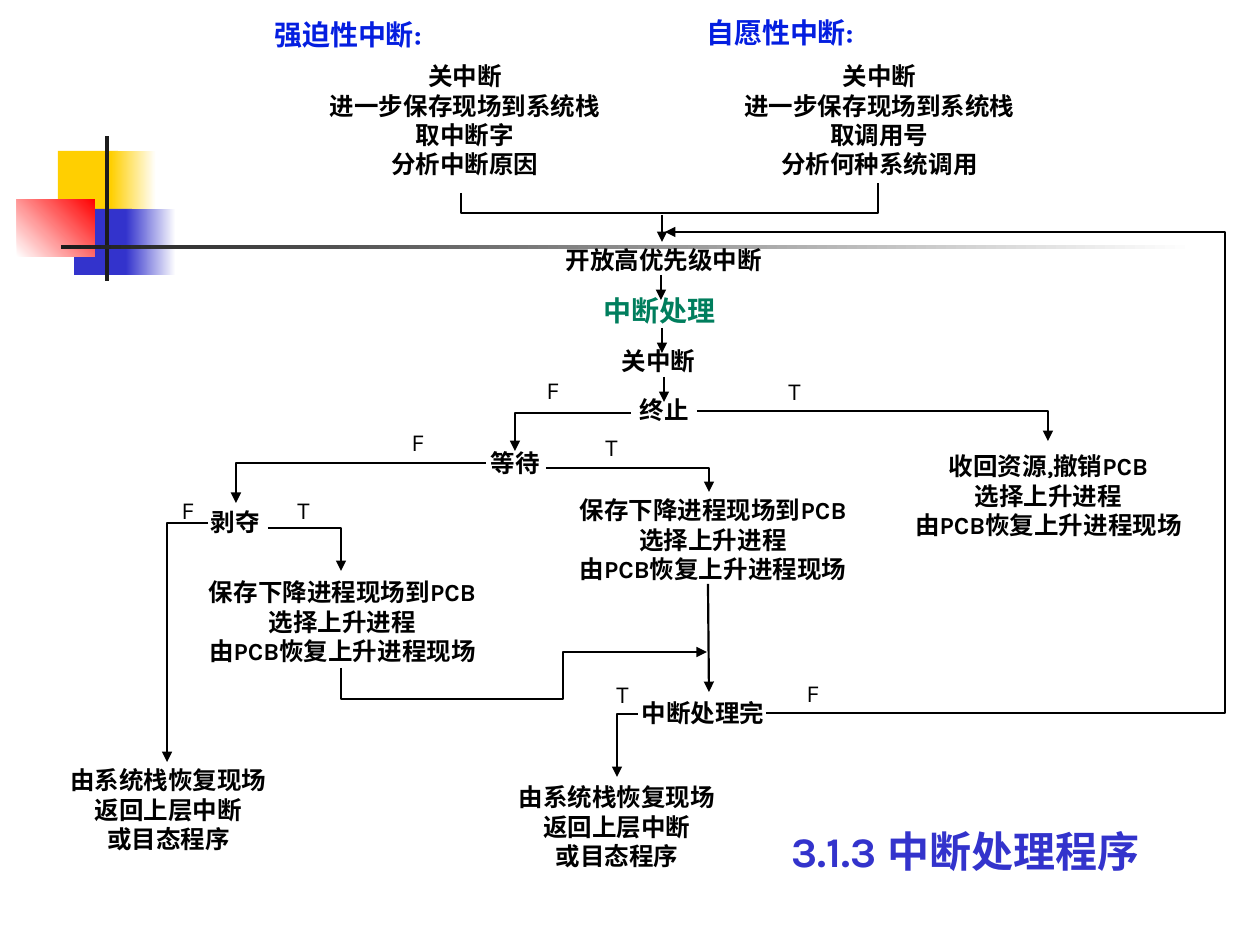
from lxml import etree
from pptx import Presentation
from pptx.dml.color import RGBColor
from pptx.enum.shapes import MSO_CONNECTOR, MSO_SHAPE
from pptx.enum.text import MSO_AUTO_SIZE, PP_ALIGN
from pptx.oxml.ns import qn
from pptx.util import Emu, Pt

PX = 914400 / 126
RECT, STRAIGHT = MSO_SHAPE.RECTANGLE, MSO_CONNECTOR.STRAIGHT
LEFT, CENTER = PP_ALIGN.LEFT, PP_ALIGN.CENTER
GROW = MSO_AUTO_SIZE.SHAPE_TO_FIT_TEXT
FONT = "Karla"

BLACK = RGBColor(0, 0, 0)
WHITE = RGBColor(0xFF, 0xFF, 0xFF)
YELLOW = RGBColor(0xFF, 0xCF, 0x01)
INDIGO = RGBColor(0x33, 0x33, 0xCC)
RED = RGBColor(0xFF, 0, 0)
CHARCOAL = RGBColor(0x1C, 0x1C, 0x1C)
BLUE = RGBColor(0x04, 0x1E, 0xE0)
GREEN = RGBColor(0, 0x7E, 0x5D)

ORNAMENTS = [
    ((58, 151, 60, 66), [YELLOW], 0),
    ((111, 151, 45, 66), [YELLOW, WHITE], 0),
    ((74, 209, 58, 66), [INDIGO], 0),
    ((126, 209, 50, 66), [INDIGO, WHITE], 0),
    ((17, 199, 78, 58), [WHITE, RED], 45),
    ((105, 136, 4, 145), [CHARCOAL], 0),
    ((61, 245, 1134, 4), [CHARCOAL, WHITE], 0),
]

SWITCH = ["保存下降进程现场到PCB", "选择上升进程", "由PCB恢复上升进程现场"]
RETURN = ["由系统栈恢复现场", "返回上层中断", "或目态程序"]
STEPS = [
    (291, 55, 348, ["关中断", "进一步保存现场到系统栈", "取中断字", "分析中断原因"]),
    (722, 55, 315, ["关中断", "进一步保存现场到系统栈", "取调用号", "分析何种系统调用"]),
    (505, 239, 318, ["开放高优先级中断"]),
    (593, 340, 131, ["关中断"]),
    (620, 389, 89, ["终止"]),
    (471, 442, 89, ["等待"]),
    (191, 501, 89, ["剥夺"]),
    (626, 692, 154, ["中断处理完"]),
    (878, 445, 341, ["收回资源,撤销PCB"] + SWITCH[1:]),
    (533, 489, 360, SWITCH),
    (178, 571, 329, SWITCH),
    (48, 759, 241, RETURN),
    (479, 776, 276, RETURN),
]
HEADINGS = [
    (262, 11, 238, "强迫性中断:", 16, BLUE, LEFT),
    (694, 9, 238, "自愿性中断:", 16, BLUE, LEFT),
    (591, 287, 140, "中断处理", 16, GREEN, LEFT),
    (716, 819, 499, "3.1.3 中断处理程序", 24, INDIGO, CENTER),
]
BRANCHES = [
    ("F", 534, 369), ("T", 776, 370),
    ("F", 399, 421), ("T", 593, 426),
    ("F", 169, 489), ("T", 285, 489),
    ("T", 604, 673), ("F", 794, 672),
]

JOIN = [(461, 193), (461, 213), (878, 213), (878, 183)]
ARROWS = [
    ([(662, 215), (662, 242)], 1.25),
    ([(661, 275), (661, 300)], 1.25),
    ([(662, 328), (662, 353)], 1.25),
    ([(664, 377), (664, 402)], 1.25),
    ([(708, 584), (709, 692)], 1.25),
    ([(697, 411), (1048, 411), (1048, 441)], 1.25),
    ([(631, 413), (515, 413), (515, 451)], 1.25),
    ([(546, 468), (709, 468), (709, 492)], 1.25),
    ([(486, 463), (236, 463), (236, 503)], 1.25),
    ([(268, 528), (341, 528), (341, 571)], 1.25),
    ([(208, 523), (167, 523), (167, 762)], 1.25),
    ([(766, 713), (1225, 713), (1225, 232), (665, 232)], 1.25),
    ([(638, 714), (617, 714), (617, 777)], 1.5),
    ([(341, 668), (341, 699), (563, 699), (563, 652), (707, 652)], 1.5),
]


def px(*lengths):
    return [Emu(round(n * PX)) for n in lengths]


def add_ornament(shapes, box, colors, angle):
    s = shapes.add_shape(RECT, *px(*box))
    s.shadow.inherit = False
    s.line.fill.background()
    if len(colors) == 1:
        s.fill.solid()
        s.fill.fore_color.rgb = colors[0]
        return
    s.fill.gradient()
    s.fill.gradient_angle = angle
    for stop, color, position in zip(s.fill.gradient_stops, colors, (0, 1)):
        stop.color.rgb = color
        stop.position = position


def add_text(shapes, x, y, w, lines, size=14, color=BLACK, align=CENTER, bold=True):
    line_height = size * 2.1
    h = 13 + line_height * len(lines)
    tf = shapes.add_textbox(*px(x, y, w, h)).text_frame
    tf.word_wrap = True
    tf.auto_size = GROW
    for i, line in enumerate(lines):
        p = tf.add_paragraph() if i else tf.paragraphs[0]
        p.alignment = align
        r = p.add_run()
        r.text = line
        r.font.name = FONT
        r.font.size = Pt(size)
        r.font.bold = bold
        r.font.color.rgb = color


def add_route(shapes, points, weight, arrow=True):
    if len(points) == 2:
        s = shapes.add_connector(STRAIGHT, *px(*points[0], *points[1]))
        etree.SubElement(s._element.spPr, qn("a:effectLst"))
    else:
        builder = shapes.build_freeform(*points[0], scale=PX)
        builder.add_line_segments(points[1:], close=False)
        s = builder.convert_to_shape()
        s.shadow.inherit = False
        s.fill.background()
    s.line.color.rgb = BLACK
    s.line.width = Pt(weight)
    if arrow:
        etree.SubElement(s.line._get_or_add_ln(), qn("a:tailEnd"), type="triangle")


def main():
    prs = Presentation()
    prs.slide_width, prs.slide_height = px(1260, 945)
    shapes = prs.slides.add_slide(prs.slide_layouts[6]).shapes
    for box, colors, angle in ORNAMENTS:
        add_ornament(shapes, box, colors, angle)
    for x, y, w, text, size, color, align in HEADINGS:
        add_text(shapes, x, y, w, [text], size, color, align)
    for x, y, w, lines in STEPS:
        add_text(shapes, x, y, w, lines)
    for text, x, y in BRANCHES:
        add_text(shapes, x, y, 40, [text], align=LEFT, bold=False)
    add_route(shapes, JOIN, 1.25, arrow=False)
    for points, weight in ARROWS:
        add_route(shapes, points, weight)
    prs.save("out.pptx")


if __name__ == "__main__":
    main()
